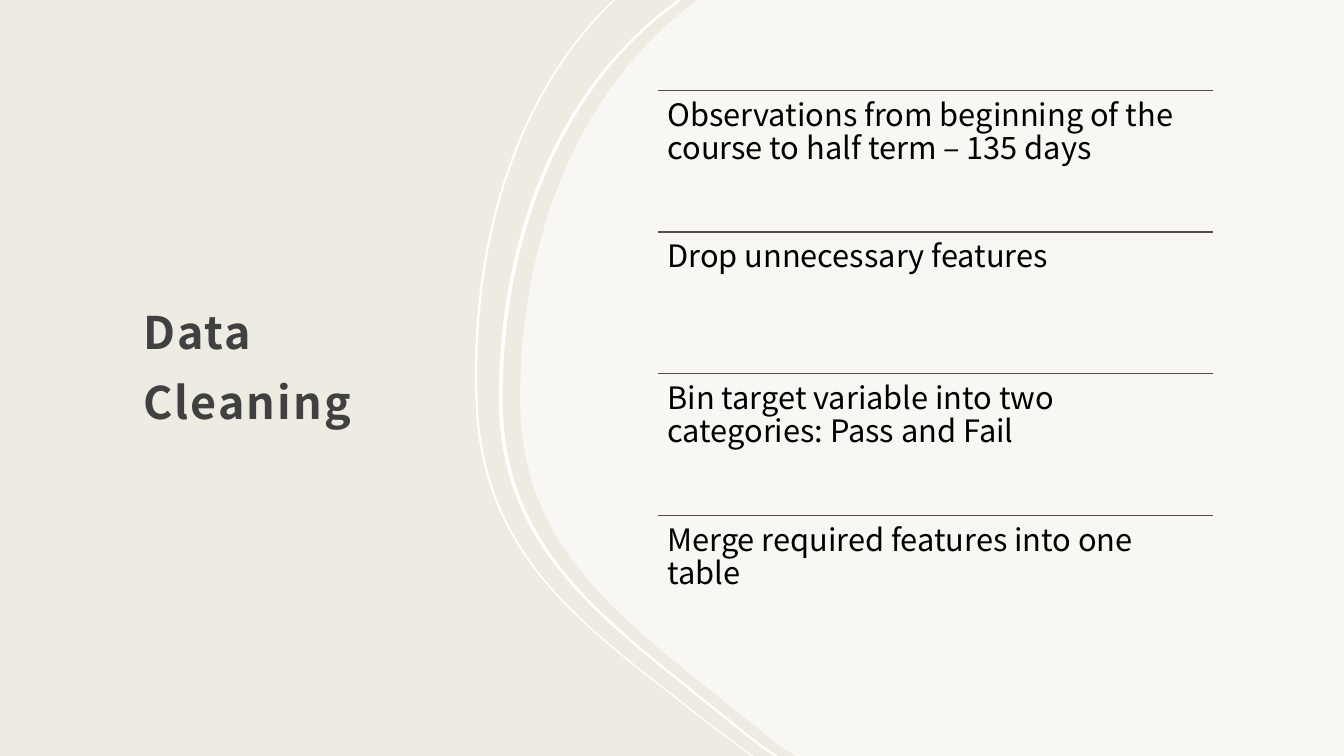
from lxml import etree
from pptx import Presentation
from pptx.dml.color import RGBColor
from pptx.enum.shapes import MSO_CONNECTOR
from pptx.enum.text import MSO_ANCHOR
from pptx.oxml.ns import qn
from pptx.util import Pt

STRAIGHT = MSO_CONNECTOR.STRAIGHT
TOP, MIDDLE = MSO_ANCHOR.TOP, MSO_ANCHOR.MIDDLE

SAND = RGBColor(0xEE, 0xEB, 0xE2)
WHITE = RGBColor(0xFF, 0xFF, 0xFF)
CHARCOAL = RGBColor(0x40, 0x40, 0x40)
RULE = RGBColor(0x56, 0x4E, 0x4E)
BLACK = RGBColor(0x00, 0x00, 0x00)
FONT = "Noto Sans CJK JP"

TITLE = "Data Cleaning"
STEPS = [
    "Observations from beginning of the course to half term – 135 days",
    "Drop unnecessary features",
    "Bin target variable into two categories: Pass and Fail",
    "Merge required features into one table",
]

# All lengths are in points.
PAGE_WIDTH, PAGE_HEIGHT = 960, 540
LIST_LEFT, LIST_TOP, LIST_WIDTH, STEP_HEIGHT = 470.2, 64.5, 396.2, 101.25

# An edge runs from top to bottom as moves: one point for a straight line,
# two control points and an end point for a curve.
PANEL_EDGE = [
    [(499, 0)],
    [(497.5, 0.7)],
    [(416.9, 59), (371.5, 164.9), (371.5, 285.1)],
    [(371.5, 391.7), (444.2, 441.4), (519.1, 502.6)],
    [(532.8, 513.4), (545.8, 524.2), (559.4, 534.2)],
    [(568.1, 540)],
]
OUTER_EDGE = [
    [(437.8, 0)],
    [(435.6, 2.2)],
    [(368.6, 67.7), (334.8, 172.8), (339.8, 289.4)],
    [(344.9, 399.6), (419, 448.6), (494.6, 508.3)],
    [(508.3, 519.1), (522, 529.2), (535.7, 539.3)],
    [(537.1, 540)],
]
INNER_EDGE = [
    [(483.8, 0)],
    [(482.4, 1.4)],
    [(401, 59.8), (356.4, 164.9), (356.4, 285.1)],
    [(356.4, 391), (429.1, 441.4), (503.3, 501.8)],
    [(517, 512.6), (530.6, 524.2), (544.3, 534.2)],
    [(553, 540)],
]
RIBBONS = [(OUTER_EDGE, 1.5), (INNER_EDGE, 2.6)]


def return_edge(edge, shift):
    """Return the moves back up an edge, shifted to the right."""
    moves = [[edge[-1][-1]]]
    for previous, move in zip(edge[-2::-1], edge[:0:-1]):
        moves.append(move[-2::-1] + [previous[-1]])
    return [[(x + shift, y) for x, y in move] for move in moves]


def add_outline(page, moves, opacity=100):
    ends = [(Pt(move[-1][0]), Pt(move[-1][1])) for move in moves]
    builder = page.shapes.build_freeform(*ends[0])
    builder.add_line_segments(ends[1:], close=True)
    shape = builder.convert_to_shape()
    bend_lines(shape, moves[1:])
    shape.shadow.inherit = False
    shape.line.fill.background()
    shape.fill.solid()
    shape.fill.fore_color.rgb = WHITE
    if opacity < 100:
        color = shape.fill._xPr.find(qn("a:solidFill"))[0]
        etree.SubElement(color, qn("a:alpha"), val=str(opacity * 1000))


def bend_lines(shape, moves):
    """Turn the straight lines of the outline into curves where a move has controls."""
    lines = list(shape._element.iter(qn("a:lnTo")))
    for line, move in zip(lines, moves):
        if len(move) == 1:
            continue
        curve = etree.Element(qn("a:cubicBezTo"))
        for x, y in move:
            etree.SubElement(curve, qn("a:pt"), x=str(Pt(x) - shape.left),
                             y=str(Pt(y) - shape.top))
        line.getparent().replace(line, curve)


def add_text(page, text, left, top, width, height, *, size, color, line_spacing,
             inset, bottom_inset, anchor=TOP, bold=None, tracking=0, space_after=None):
    box = page.shapes.add_textbox(Pt(left), Pt(top), Pt(width), Pt(height))
    frame = box.text_frame
    frame.word_wrap = True
    frame.vertical_anchor = anchor
    frame.margin_left = frame.margin_right = frame.margin_top = Pt(inset)
    frame.margin_bottom = Pt(bottom_inset)
    para = frame.paragraphs[0]
    para.line_spacing = line_spacing
    if space_after:
        para.space_after = Pt(space_after)
    span = para.add_run()
    span.text = text
    span.font.name = FONT
    span.font.size = Pt(size)
    span.font.bold = bold
    span.font.color.rgb = color
    if tracking:
        span.font._element.set("spc", str(int(tracking * 100)))


def add_rule(page, left, top, width):
    rule = page.shapes.add_connector(
        STRAIGHT, Pt(left), Pt(top), Pt(left + width), Pt(top))
    rule.line.color.rgb = RULE
    rule.line.width = Pt(1)
    etree.SubElement(rule._element.spPr, qn("a:effectLst"))


def main():
    deck = Presentation()
    deck.slide_width, deck.slide_height = Pt(PAGE_WIDTH), Pt(PAGE_HEIGHT)
    page = deck.slides.add_slide(deck.slide_layouts[6])
    page.background.fill.solid()
    page.background.fill.fore_color.rgb = SAND

    add_text(page, TITLE, 93.6, 87.1, 237.6, 337, size=32, color=CHARCOAL,
             line_spacing=1.3, inset=8.64, bottom_inset=7.2, anchor=MIDDLE,
             bold=True, tracking=1.5)

    right_side = [[(PAGE_WIDTH, PAGE_HEIGHT)], [(PAGE_WIDTH, 0)]]
    add_outline(page, PANEL_EDGE + right_side, opacity=60)
    for edge, thickness in RIBBONS:
        add_outline(page, edge + return_edge(edge, thickness))

    for index, step in enumerate(STEPS):
        top = LIST_TOP + index * STEP_HEIGHT
        add_rule(page, LIST_LEFT, top, LIST_WIDTH)
        add_text(page, step, LIST_LEFT, top, LIST_WIDTH, STEP_HEIGHT, size=22,
                 color=BLACK, line_spacing=0.9, inset=6.6, bottom_inset=6.6,
                 space_after=7.7)

    deck.save("out.pptx")


if __name__ == "__main__":
    main()
